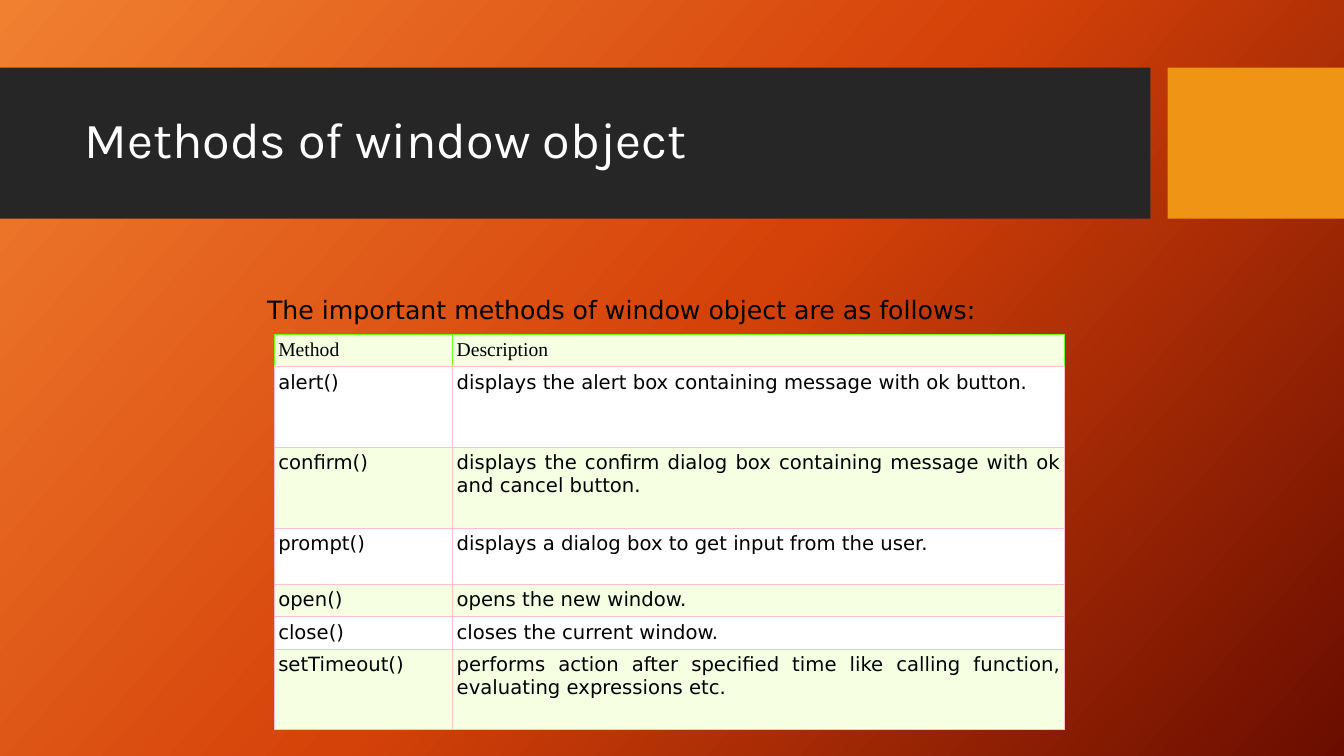
from copy import deepcopy

from lxml import etree
from pptx import Presentation
from pptx.dml.color import RGBColor
from pptx.enum.shapes import MSO_SHAPE
from pptx.enum.text import MSO_ANCHOR, MSO_AUTO_SIZE, PP_ALIGN
from pptx.oxml.ns import qn
from pptx.util import Inches, Pt

RECTANGLE = MSO_SHAPE.RECTANGLE
MIDDLE = MSO_ANCHOR.MIDDLE
LEFT, JUSTIFY = PP_ALIGN.LEFT, PP_ALIGN.JUSTIFY
GROW, FIXED = MSO_AUTO_SIZE.SHAPE_TO_FIT_TEXT, MSO_AUTO_SIZE.NONE

BLACK = RGBColor(0x00, 0x00, 0x00)
WHITE = RGBColor(0xFF, 0xFF, 0xFF)
CHARCOAL = RGBColor(0x26, 0x26, 0x26)
AMBER = RGBColor(0xF0, 0x94, 0x15)
CREAM = RGBColor(0xF6, 0xFF, 0xE1)
PINK = RGBColor(0xFF, 0xC0, 0xCB)
LIME = RGBColor(0x70, 0xFE, 0x1C)
BACKDROP = (
    RGBColor(0xF1, 0x80, 0x31),
    RGBColor(0xD5, 0x42, 0x09),
    RGBColor(0x6A, 0x0D, 0x00),
)

TITLE_FONT, BODY_FONT, HEADER_FONT = "Karla", "DejaVu Sans", "Times New Roman"

COLUMN_WIDTHS = (1.77, 6.07)
ROW_HEIGHTS = (0.32, 0.8, 0.8, 0.56, 0.32, 0.32, 0.8)
METHODS = (
    ("Method", "Description"),
    ("alert()", "displays the alert box containing message with ok button."),
    ("confirm()", "displays the confirm dialog box containing message with ok and cancel button."),
    ("prompt()", "displays a dialog box to get input from the user."),
    ("open()", "opens the new window."),
    ("close()", "closes the current window."),
    ("setTimeout()", "performs action after specified time like calling function, evaluating expressions etc."),
)


class SlideBuilder:
    """Holds the style and the current slide, and adds its elements."""

    def __init__(self, page):
        self.page = page

    def backdrop(self, colors, angle):
        fill = self.page.background.fill
        fill.gradient()
        fill.gradient_angle = 360 - angle
        stop_list = next(self.page.element.iter(qn("a:gsLst")))
        stop_list.insert(1, deepcopy(stop_list[0]))
        for index, (stop, color) in enumerate(zip(fill.gradient_stops, colors)):
            stop.position = index / (len(colors) - 1)
            stop.color.rgb = color

    def band(self, left, width, color):
        band = self.page.shapes.add_shape(
            RECTANGLE, Inches(left), Inches(0.67), Inches(width), Inches(1.5)
        )
        band.shadow.inherit = False
        band.fill.solid()
        band.fill.fore_color.rgb = color
        band.line.fill.background()

    def paragraph(self, frame, text, font, size, color=BLACK, align=LEFT):
        frame.word_wrap = True
        para = frame.paragraphs[0]
        para.text = text
        para.alignment = align
        para.font.name = font
        para.font.size = Pt(size)
        para.font.color.rgb = color
        return para

    def title(self, text, left, top, width, height):
        title = self.page.shapes.title
        title.left, title.top = Inches(left), Inches(top)
        title.width, title.height = Inches(width), Inches(height)
        frame = title.text_frame
        frame.auto_size = FIXED
        frame.vertical_anchor = MIDDLE
        self.paragraph(frame, text, TITLE_FONT, 36, WHITE).line_spacing = 0.9
        title.element.getparent().append(title.element)

    def text(self, text, left, top, width, height):
        box = self.page.shapes.add_textbox(
            Inches(left), Inches(top), Inches(width), Inches(height)
        )
        box.text_frame.auto_size = GROW
        self.paragraph(box.text_frame, text, BODY_FONT, 18, align=JUSTIFY)

    def borders(self, cell, side_color):
        properties = cell._tc.get_or_add_tcPr()
        sides = {"L": side_color, "R": side_color, "T": side_color, "B": PINK}
        for side, color in sides.items():
            line = etree.SubElement(properties, qn(f"a:ln{side}"), w=str(Pt(0.75)))
            solid = etree.SubElement(line, qn("a:solidFill"))
            etree.SubElement(solid, qn("a:srgbClr"), val=str(color))

    def table(self, rows, left, top, widths, heights):
        frame = self.page.shapes.add_table(
            len(rows), len(widths), Inches(left), Inches(top),
            Inches(sum(widths)), Inches(sum(heights)),
        )
        table = frame.table
        table.first_row = table.horz_banding = False
        for column, width in zip(table.columns, widths):
            column.width = Inches(width)
        for index, (row, height) in enumerate(zip(table.rows, heights)):
            row.height = Inches(height)
            header = index == 0
            for cell, text in zip(row.cells, rows[index]):
                cell.margin_left = cell.margin_right = Inches(0.04)
                cell.margin_top = cell.margin_bottom = Inches(0.04)
                self.borders(cell, LIME if header else PINK)
                cell.fill.solid()
                cell.fill.fore_color.rgb = WHITE if index % 2 else CREAM
                self.paragraph(
                    cell.text_frame, text, HEADER_FONT if header else BODY_FONT,
                    14, align=LEFT if header else JUSTIFY,
                )


def main():
    deck = Presentation()
    deck.slide_width, deck.slide_height = Inches(13.33), Inches(7.5)
    builder = SlideBuilder(deck.slides.add_slide(deck.slide_layouts[5]))
    builder.backdrop(BACKDROP, 42)
    builder.band(0, 11.41, CHARCOAL)
    builder.band(11.58, 1.75, AMBER)
    builder.title("Methods of window object", 0.74, 0.82, 10.51, 1.18)
    builder.table(METHODS, 2.72, 3.32, COLUMN_WIDTHS, ROW_HEIGHTS)
    builder.text(
        "The important methods of window object are as follows:", 2.55, 2.87, 7.78, 0.4
    )
    deck.save("out.pptx")


if __name__ == "__main__":
    main()
